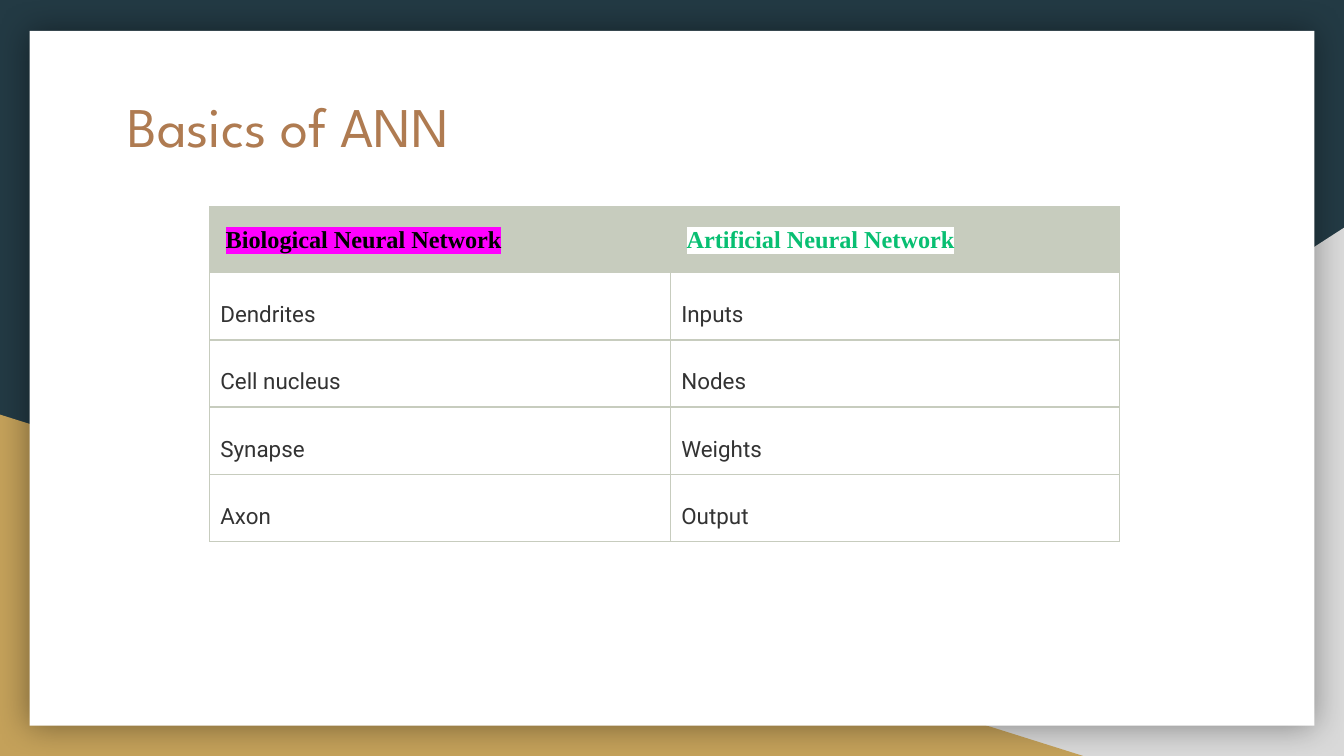
from dataclasses import dataclass

import pptx
import pptx.dml.color
import pptx.enum.shapes
import pptx.enum.text
import pptx.oxml
import pptx.oxml.ns
import pptx.util

Inches = pptx.util.Inches
Pt = pptx.util.Pt
qn = pptx.oxml.ns.qn
Align = pptx.enum.text.PP_ALIGN
Preset = pptx.enum.shapes.MSO_SHAPE
DRAWING = pptx.oxml.ns.nsdecls("a")


@dataclass(frozen=True)
class Theme:
    backdrop: str = "233A44"
    gray: str = "D9D9D9"
    gold: str = "C4A15A"
    paper: str = "FFFFFF"
    title: str = "AF7B51"
    rule: str = "C7CCBE"
    body: str = "333333"
    black: str = "000000"
    green: str = "08BF72"
    magenta: str = "FF00FF"
    title_font: str = "League Spartan"
    header_font: str = "Times New Roman"
    body_font: str = "Roboto"
    title_size: int = 30
    header_size: int = 13
    body_size: int = 12


THEME = Theme()
HEADERS = [
    ("Biological Neural Network", THEME.black, THEME.magenta),
    ("Artificial Neural Network", THEME.green, THEME.paper),
]
PAIRS = [
    ("Dendrites", "Inputs"),
    ("Cell nucleus", "Nodes"),
    ("Synapse", "Weights"),
    ("Axon", "Output"),
]


def paint(fill, color):
    fill.solid()
    fill.fore_color.rgb = pptx.dml.color.RGBColor.from_string(color)


def write(frame, text, *, font, size, color, bold=False, align=Align.LEFT,
          spacing=1.0, highlight=None):
    paragraph = frame.paragraphs[0]
    paragraph.alignment = align
    paragraph.line_spacing = spacing
    run = paragraph.add_run()
    run.text = text
    run.font.name = font
    run.font.size = Pt(size)
    run.font.bold = bold
    paint(run.font.fill, color)
    if highlight:
        marker = pptx.oxml.parse_xml(
            f'<a:highlight {DRAWING}><a:srgbClr val="{highlight}"/></a:highlight>')
        run._r.rPr.find(qn("a:solidFill")).addnext(marker)


def set_insets(target, inset):
    target.margin_left = target.margin_right = Inches(inset)
    target.margin_top = target.margin_bottom = Inches(inset)


def format_cell(cell, inset, color):
    set_insets(cell, inset)
    paint(cell.fill, color)
    properties = cell._tc.get_or_add_tcPr()
    for index, side in enumerate(("lnL", "lnR", "lnT", "lnB")):
        properties.insert(index, pptx.oxml.parse_xml(
            f'<a:{side} {DRAWING} w="{Pt(0.75)}"><a:solidFill>'
            f'<a:srgbClr val="{THEME.rule}"/></a:solidFill></a:{side}>'))


def add_panel(slide, preset, box, color):
    panel = slide.shapes.add_shape(preset, *map(Inches, box))
    panel.shadow.inherit = False
    paint(panel.fill, color)
    panel.line.fill.background()
    return panel


def add_background(slide, left, top, width, height):
    paint(slide.background.fill, THEME.backdrop)
    right, bottom = left + width, top + height
    gray_corner = add_panel(slide, Preset.RIGHT_TRIANGLE,
                            (right - 6.08, bottom - 3.93, 6.08, 3.93), THEME.gray)
    gray_corner._element.spPr.xfrm.set("flipH", "1")
    add_panel(slide, Preset.RIGHT_TRIANGLE,
              (left, bottom - 2.54, 8.06, 2.54), THEME.gold)
    paper = add_panel(slide, Preset.RECTANGLE,
                      (left + 0.22, top + 0.23, width - 0.44, 5.17), THEME.paper)
    paper._element.spPr.find(qn("a:effectLst")).append(pptx.oxml.parse_xml(
        f'<a:outerShdw {DRAWING} blurRad="{Pt(18)}" dist="0" dir="0" '
        f'algn="ctr" rotWithShape="0"><a:srgbClr val="{THEME.black}">'
        '<a:alpha val="40000"/></a:srgbClr></a:outerShdw>'))


def add_title(slide, left, top, width, height):
    title = slide.shapes.add_textbox(*map(Inches, (left, top, width, height)))
    frame = title.text_frame
    frame.word_wrap = True
    frame.vertical_anchor = pptx.enum.text.MSO_ANCHOR.TOP
    set_insets(frame, 0.1)
    write(frame, "Basics of ANN", font=THEME.title_font,
          size=THEME.title_size, color=THEME.title)


def add_comparison(slide, left, top, width, height):
    header_height = 0.47
    row_height = (height - header_height) / len(PAIRS)
    first_width = 3.43
    comparison = slide.shapes.add_table(
        len(PAIRS) + 1, len(HEADERS), *map(Inches, (left, top, width, height))).table
    comparison.horz_banding = False
    comparison.columns[0].width = Inches(first_width)
    comparison.columns[1].width = Inches(width - first_width)
    for index, row in enumerate(comparison.rows):
        row.height = Inches(row_height if index else header_height)

    for column, (heading, color, highlight) in enumerate(HEADERS):
        cell = comparison.cell(0, column)
        format_cell(cell, 0.12, THEME.rule)
        write(cell.text_frame, heading, font=THEME.header_font,
              size=THEME.header_size, color=color, bold=True, spacing=1.15,
              highlight=highlight)

    for row, pair in enumerate(PAIRS, start=1):
        for column, term in enumerate(pair):
            cell = comparison.cell(row, column)
            format_cell(cell, 0.08, THEME.paper)
            write(cell.text_frame, term, font=THEME.body_font,
                  size=THEME.body_size, color=THEME.body,
                  align=Align.JUSTIFY, spacing=1.7)


def main():
    width = 10
    height = width * 9 / 16
    presentation = pptx.Presentation()
    presentation.slide_width = Inches(width)
    presentation.slide_height = Inches(height)
    slide = presentation.slides.add_slide(presentation.slide_layouts[6])
    add_background(slide, 0, 0, width, height)
    add_title(slide, 0.85, 0.58, 3.11, 0.73)
    add_comparison(slide, 1.56, 1.54, 6.77, 2.47)
    presentation.save("out.pptx")


if __name__ == "__main__":
    main()
